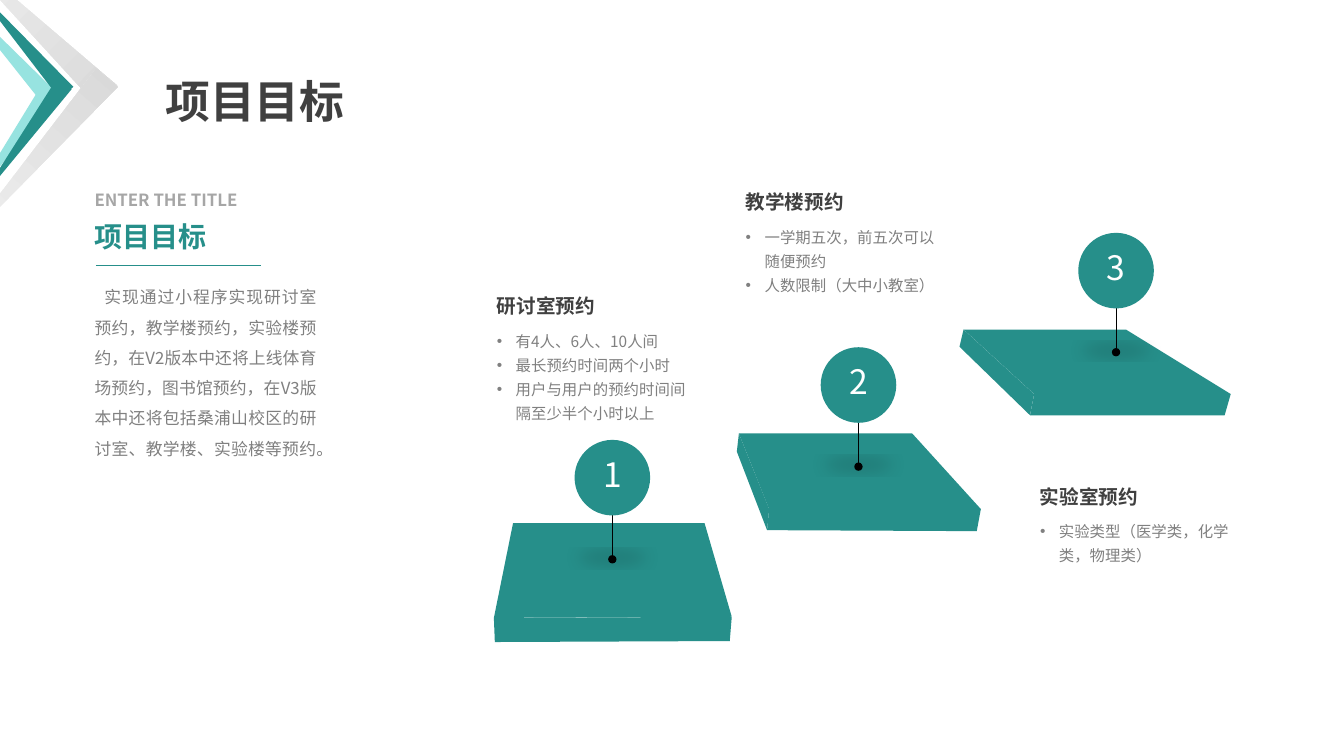
from lxml.etree import SubElement
from pptx import Presentation
from pptx.dml.color import RGBColor
from pptx.enum.shapes import MSO_CONNECTOR, MSO_SHAPE
from pptx.enum.text import MSO_ANCHOR, MSO_AUTO_SIZE, PP_ALIGN
from pptx.oxml.ns import qn
from pptx.util import Pt

TEAL = RGBColor(0x26, 0x8F, 0x8A)
MINT = RGBColor(0x97, 0xE3, 0xE0)
BLACK = RGBColor(0, 0, 0)
WHITE = RGBColor(0xFF, 0xFF, 0xFF)
INK = RGBColor(0x40, 0x40, 0x40)
GREY = RGBColor(0x80, 0x80, 0x80)
PALE = RGBColor(0xA6, 0xA6, 0xA6)
SILVER = (RGBColor(0xF2, 0xF2, 0xF2), RGBColor(0xD9, 0xD9, 0xD9))

DISC = 54
PIN_LENGTH = 85.3
HEADING_HEIGHT = 26.6

# number, disc left and top, heading left and top, heading, list width and height, items
STEPS = [
    ("3", 770.2, 166.3, 735.8, 339.1, "实验室预约", 154.8, 41.8,
     ["实验类型（医学类，化学类，物理类）"]),
    ("2", 586.2, 248, 525.6, 128.9, "教学楼预约", 151.2, 59,
     ["一学期五次，前五次可以随便预约", "人数限制（大中小教室）"]),
    ("1", 410.4, 314.2, 347.8, 203, "研讨室预约", 151.2, 76.3,
     ["有4人、6人、10人间", "最长预约时间两个小时",
      "用户与用户的预约时间间隔至少半个小时以上"]),
]

# top face (back left, back right, front right, front left),
# lower edge (left, right), outer corner of the left side if it shows
PLATFORMS = [
    ([(688.3, 235.4), (804.2, 235.4), (879.1, 281.5), (738.7, 281.5)],
     [(735.8, 296.6), (874.8, 296.6)], (685.4, 247.7)),
    ([(527.8, 309.6), (651.6, 309.6), (700.6, 363.6), (549.4, 363.6)],
     [(547.9, 378.7), (697.7, 379.4)], (526.3, 322.6)),
    ([(366.5, 373.7), (503.3, 373.7), (522.7, 440.6), (352.8, 441.4)],
     [(353.5, 458.6), (521.3, 457.9)], None),
]

# left, top, width, height, rotation, colour
CHEVRON_ARMS = [
    (-5, -20.2, 13, 105.1, -42, MINT),
    (-1.4, 54.7, 13, 105.1, 215, MINT),
    (6.5, -25.9, 13, 105.1, -41, TEAL),
    (8.6, 49.7, 13, 105.1, 216, TEAL),
    (7.2, -71.3, 20.2, 164.9, -46, SILVER),
    (12.2, 35.3, 20.2, 164.9, 221, SILVER),
]


class SlideBuilder:
    font = "Noto Sans CJK JP"

    def __init__(self, slide):
        self.slide = slide
        self.shapes = slide.shapes

    def run(self, paragraph, text, size, color, bold=False):
        run = paragraph.add_run()
        run.text = text
        run.font.name = self.font
        run.font.size = Pt(size)
        run.font.bold = bold
        run.font.color.rgb = color
        SubElement(run.font._element, qn("a:ea"), typeface=self.font)

    def title(self, text, left, top, width, height):
        title = self.shapes.title
        title.left, title.top = Pt(left), Pt(top)
        title.width, title.height = Pt(width), Pt(height)
        frame = title.text_frame
        frame.vertical_anchor = MSO_ANCHOR.TOP
        frame.auto_size = MSO_AUTO_SIZE.SHAPE_TO_FIT_TEXT
        paragraph = frame.paragraphs[0]
        paragraph.alignment = PP_ALIGN.JUSTIFY
        paragraph.line_spacing = 1.3
        self.run(paragraph, text, 32, INK, True)

    def text(self, lines, left, top, width, height, size, color, bold=False,
             spacing=1.2, align=PP_ALIGN.LEFT, bullets=False, first_indent=0):
        box = self.shapes.add_textbox(Pt(left), Pt(top), Pt(width), Pt(height))
        frame = box.text_frame
        frame.word_wrap = True
        frame.auto_size = MSO_AUTO_SIZE.SHAPE_TO_FIT_TEXT
        for index, line in enumerate(lines):
            paragraph = frame.add_paragraph() if index else frame.paragraphs[0]
            paragraph.alignment = align
            paragraph.line_spacing = spacing
            properties = paragraph._p.get_or_add_pPr()
            if bullets:
                properties.set("marL", str(Pt(13.5)))
                properties.set("indent", str(Pt(-13.5)))
                SubElement(properties, qn("a:buFont"), typeface="Arial")
                SubElement(properties, qn("a:buChar"), char="•")
            elif first_indent:
                properties.set("indent", str(Pt(first_indent)))
            self.run(paragraph, line, size, color, bold)

    def line(self, x1, y1, x2, y2, color, dot=False):
        line = self.shapes.add_connector(
            MSO_CONNECTOR.STRAIGHT, Pt(x1), Pt(y1), Pt(x2), Pt(y2))
        line.line.color.rgb = color
        line.line.width = Pt(0.5)
        if dot:
            SubElement(line.line._get_or_add_ln(), qn("a:tailEnd"), type="oval")
        SubElement(line._element.spPr, qn("a:effectLst"))

    def disc(self, number, left, top):
        disc = self.shapes.add_shape(
            MSO_SHAPE.OVAL, Pt(left), Pt(top), Pt(DISC), Pt(DISC))
        disc.fill.solid()
        disc.fill.fore_color.rgb = TEAL
        disc.line.fill.background()
        self.cast_shadow(disc)
        frame = disc.text_frame
        frame.vertical_anchor = MSO_ANCHOR.BOTTOM
        frame.margin_left = frame.margin_right = frame.margin_bottom = Pt(7.2)
        frame.margin_top = 0
        frame.paragraphs[0].alignment = PP_ALIGN.CENTER
        self.run(frame.paragraphs[0], number, 24, WHITE)

    def cast_shadow(self, shape):
        """Give the shape a flattened shadow on the ground below it."""
        effects = SubElement(shape._element.spPr, qn("a:effectLst"))
        shadow = SubElement(
            effects, qn("a:outerShdw"), blurRad=str(Pt(12)), dist=str(Pt(25)),
            dir="5400000", sx="90000", sy="-19000", rotWithShape="0")
        shade = SubElement(shadow, qn("a:srgbClr"), val=str(BLACK))
        SubElement(shade, qn("a:alpha"), val="15000")

    def platform(self, top_face, lower_edge, side_corner):
        back_left, _, front_right, front_left = top_face
        lower_left, lower_right = lower_edge
        faces = [[front_left, lower_left, lower_right, front_right], top_face]
        if side_corner:
            faces.insert(0, [back_left, side_corner, lower_left, front_left])
        group = self.shapes.add_group_shape()
        for face in faces:
            corners = [(Pt(x), Pt(y)) for x, y in face]
            outline = group.shapes.build_freeform(*corners[0])
            outline.add_line_segments(corners[1:])
            shape = outline.convert_to_shape()
            shape.fill.solid()
            shape.fill.fore_color.rgb = TEAL
            shape.line.fill.background()
            shape.shadow.inherit = False

    def chevrons(self, arms):
        group = self.shapes.add_group_shape()
        for left, top, width, height, rotation, color in arms:
            arm = group.shapes.add_shape(
                MSO_SHAPE.ISOSCELES_TRIANGLE, Pt(left), Pt(top), Pt(width), Pt(height))
            arm.rotation = rotation
            arm.line.fill.background()
            arm.shadow.inherit = False
            if color is SILVER:
                arm.fill.gradient()
                arm.fill.gradient_angle = 270
                for stop, shade in zip(arm.fill.gradient_stops, color):
                    stop.color.rgb = shade
            else:
                arm.fill.solid()
                arm.fill.fore_color.rgb = color


def main():
    deck = Presentation()
    deck.slide_width, deck.slide_height = Pt(960), Pt(540)
    page = SlideBuilder(deck.slides.add_slide(deck.slide_layouts[5]))

    page.title("项目目标", 110.9, 37.4, 160.6, 57.6)
    for platform in PLATFORMS:
        page.platform(*platform)
    for _, left, top, *_ in STEPS:
        center = left + DISC / 2
        page.line(center, top, center, top + PIN_LENGTH, BLACK, dot=True)
    for number, left, top, *_ in STEPS:
        page.disc(number, left, top)

    page.text(["实现通过小程序实现研讨室预约，教学楼预约，实验楼预约，在V2版本中还将上线体育场预约，"
               "图书馆预约，在V3版本中还将包括桑浦山校区的研讨室、教学楼、实验楼等预约。"],
              60.5, 194.4, 172.8, 138.2, 12, GREY, spacing=1.5,
              align=PP_ALIGN.JUSTIFY, first_indent=7)
    page.text(["项目目标"], 60.5, 148.3, 192.2, 36, 20, TEAL, True,
              align=PP_ALIGN.JUSTIFY)
    page.line(68.4, 189.4, 186.5, 189.4, TEAL)
    page.text(["ENTER THE TITLE"], 60.5, 128.9, 192.2, 23.8, 12, PALE, True,
              align=PP_ALIGN.JUSTIFY)

    for _, _, _, left, top, heading, width, height, items in STEPS:
        page.text(items, left, top + HEADING_HEIGHT, width, height, 11, GREY,
                  spacing=1.3, bullets=True)
        page.text([heading], left, top, 192.2, 27.4, 14, INK, True)
    page.chevrons(CHEVRON_ARMS)
    deck.save("out.pptx")


if __name__ == "__main__":
    main()
